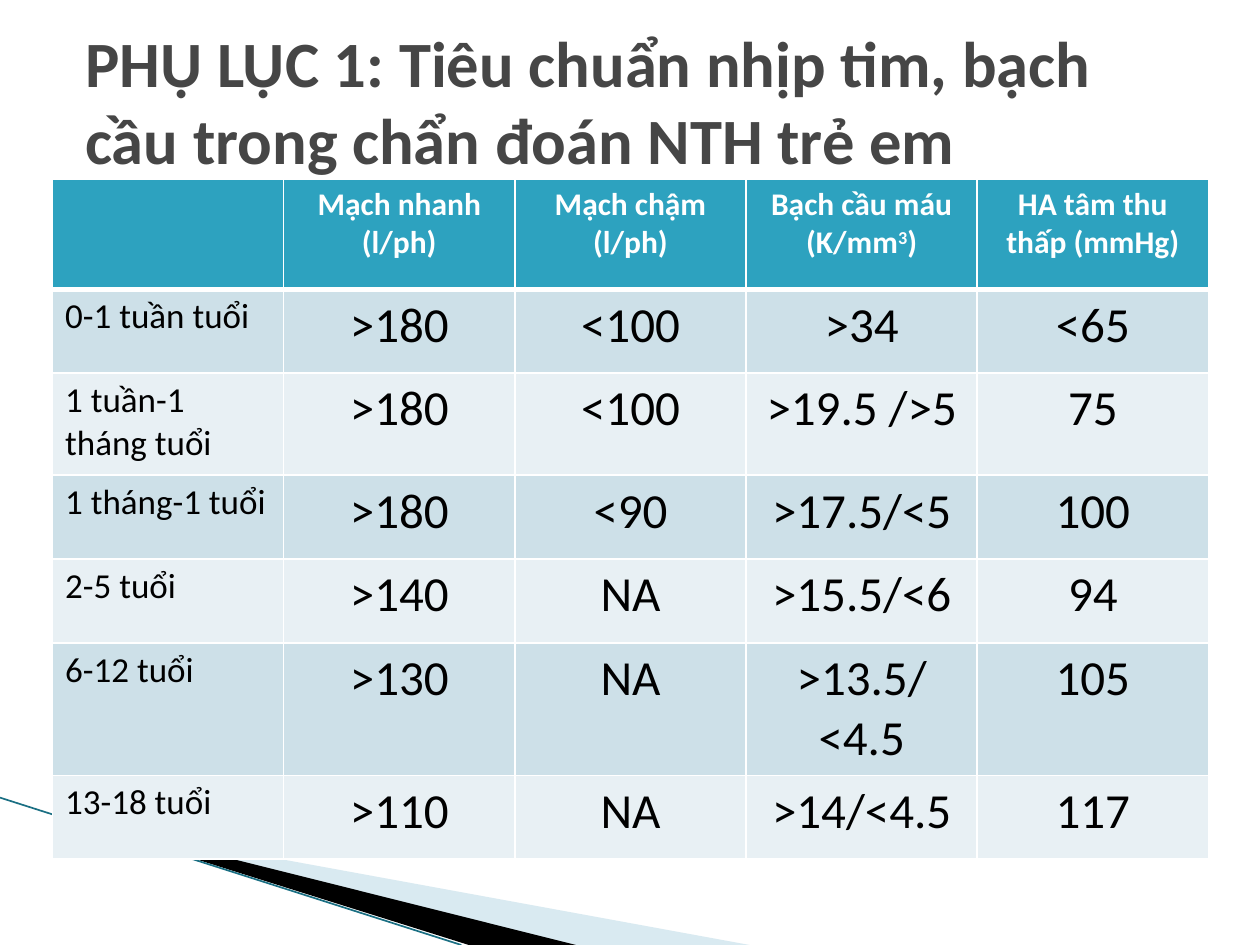
"""Build the appendix slide on heart rate and white cell criteria by age."""
import lxml.etree
import pptx
import pptx.dml.color
import pptx.enum.shapes
import pptx.enum.text
import pptx.oxml.ns
import pptx.util

Cm = pptx.util.Cm
Pt = pptx.util.Pt
qn = pptx.oxml.ns.qn
CENTER = pptx.enum.text.PP_ALIGN.CENTER
LEFT = pptx.enum.text.PP_ALIGN.LEFT

FONT = "Calibri"
TITLE = "PHỤ LỤC 1: Tiêu chuẩn nhịp tim, bạch cầu trong chẩn đoán NTH trẻ em"
HEADERS = [
    [],
    [["Mạch nhanh"], ["(l/ph)"]],
    [["Mạch chậm"], ["(l/ph)"]],
    [["Bạch cầu máu"], ["(K/mm", "3", ")"]],
    [["HA tâm thu thấp (mmHg)"]],
]
AGE_ROWS = [
    ("0-1 tuần tuổi", ">180", "<100", ">34", "<65"),
    ("1 tuần-1 tháng tuổi", ">180", "<100", ">19.5 />5", "75"),
    ("1 tháng-1 tuổi", ">180", "<90", ">17.5/<5", "100"),
    ("2-5 tuổi", ">140", "NA", ">15.5/<6", "94"),
    ("6-12 tuổi", ">130", "NA", ">13.5/<4.5", "105"),
    ("13-18 tuổi", ">110", "NA", ">14/<4.5", "117"),
]
ROW_HEIGHTS = [2.22, 1.69, 2.06, 1.69, 1.69, 1.64, 1.69]
COLUMN_WIDTH = 4.66
HEADER_FILL = "2DA2BF"
BAND_FILLS = ["CDE0E8", "E8F0F4"]
WEDGES = [
    ("A0CBDC", 40, [(1.4, 16.54), (15.11, 19.05), (11.58, 19.05), (1.4, 16.51)]),
    ("000000", 100, [(1.35, 16.48), (11.61, 19.05), (9.45, 19.05), (1.37, 16.51)]),
]


def color(value):
    return pptx.dml.color.RGBColor.from_string(value)


def add_wedge(slide, fill, opacity, corners):
    points = [(Cm(x), Cm(y)) for x, y in corners]
    builder = slide.shapes.build_freeform(*points[0], scale=1.0)
    builder.add_line_segments(points[1:], close=True)
    wedge = builder.convert_to_shape()
    wedge.shadow.inherit = False
    wedge.line.fill.background()
    wedge.fill.solid()
    wedge.fill.fore_color.rgb = color(fill)
    if opacity < 100:
        tint = wedge.fill._xPr.find(".//" + qn("a:srgbClr"))
        lxml.etree.SubElement(tint, qn("a:alpha"), val=str(opacity * 1000))


def add_edge_line(slide):
    edge = slide.shapes.add_connector(
        pptx.enum.shapes.MSO_CONNECTOR.STRAIGHT, Cm(0), Cm(16.08), Cm(9.3), Cm(19.05))
    edge.line.color.rgb = color("1A6F83")
    edge.line.width = Pt(0.95)
    lxml.etree.SubElement(edge._element.spPr, qn("a:effectLst"))


def add_span(para, text, size, ink, bold):
    span = para.add_run()
    span.text = text
    span.font.name = FONT
    span.font.size = Pt(size)
    span.font.bold = bold
    span.font.color.rgb = color(ink)
    return span


def style_cell(cell, fill, top, bottom):
    properties = cell._tc.get_or_add_tcPr()
    for side, width in (("L", 1), ("R", 1), ("T", top), ("B", bottom)):
        border = lxml.etree.SubElement(properties, qn("a:ln" + side), w=str(Pt(width)))
        solid = lxml.etree.SubElement(border, qn("a:solidFill"))
        lxml.etree.SubElement(solid, qn("a:srgbClr"), val="FFFFFF")
    cell.fill.solid()
    cell.fill.fore_color.rgb = color(fill)


def write_cell(cell, paragraphs, size, ink, bold, align):
    frame = cell.text_frame
    for index, spans in enumerate(paragraphs):
        para = frame.add_paragraph() if index else frame.paragraphs[0]
        para.alignment = align
        for position, text in enumerate(spans):
            span = add_span(para, text, size, ink, bold)
            if position == 1:
                span.font._element.set("baseline", "30000")


def add_criteria_table(slide):
    columns = len(HEADERS)
    table = slide.shapes.add_table(
        len(ROW_HEIGHTS), columns, Cm(1.06), Cm(3.61),
        Cm(COLUMN_WIDTH * columns), Cm(sum(ROW_HEIGHTS))).table
    for column in table.columns:
        column.width = Cm(COLUMN_WIDTH)
    for row, height in zip(table.rows, ROW_HEIGHTS):
        row.height = Cm(height)
    for index, paragraphs in enumerate(HEADERS):
        cell = table.cell(0, index)
        style_cell(cell, HEADER_FILL, 1, 3)
        write_cell(cell, paragraphs, 18, "FFFFFF", True, CENTER)
    for number, values in enumerate(AGE_ROWS, start=1):
        for index, value in enumerate(values):
            cell = table.cell(number, index)
            style_cell(cell, BAND_FILLS[(number - 1) % 2], 3 if number == 1 else 1, 1)
            size, align = (28, CENTER) if index else (20, LEFT)
            write_cell(cell, [[value]], size, "000000", False, align)


def add_title(slide):
    box = slide.shapes.add_textbox(Cm(1.47), Cm(0.43), Cm(22.86), Cm(3.18))
    frame = box.text_frame
    frame.word_wrap = True
    frame.vertical_anchor = pptx.enum.text.MSO_ANCHOR.MIDDLE
    add_span(frame.paragraphs[0], TITLE, 36.9, "464646", True)


def main():
    deck = pptx.Presentation()
    deck.slide_width, deck.slide_height = Cm(25.4), Cm(19.05)
    page = deck.slides.add_slide(deck.slide_layouts[6])
    for wedge in WEDGES:
        add_wedge(page, *wedge)
    add_edge_line(page)
    add_criteria_table(page)
    add_title(page)
    deck.save("out.pptx")


if __name__ == "__main__":
    main()
